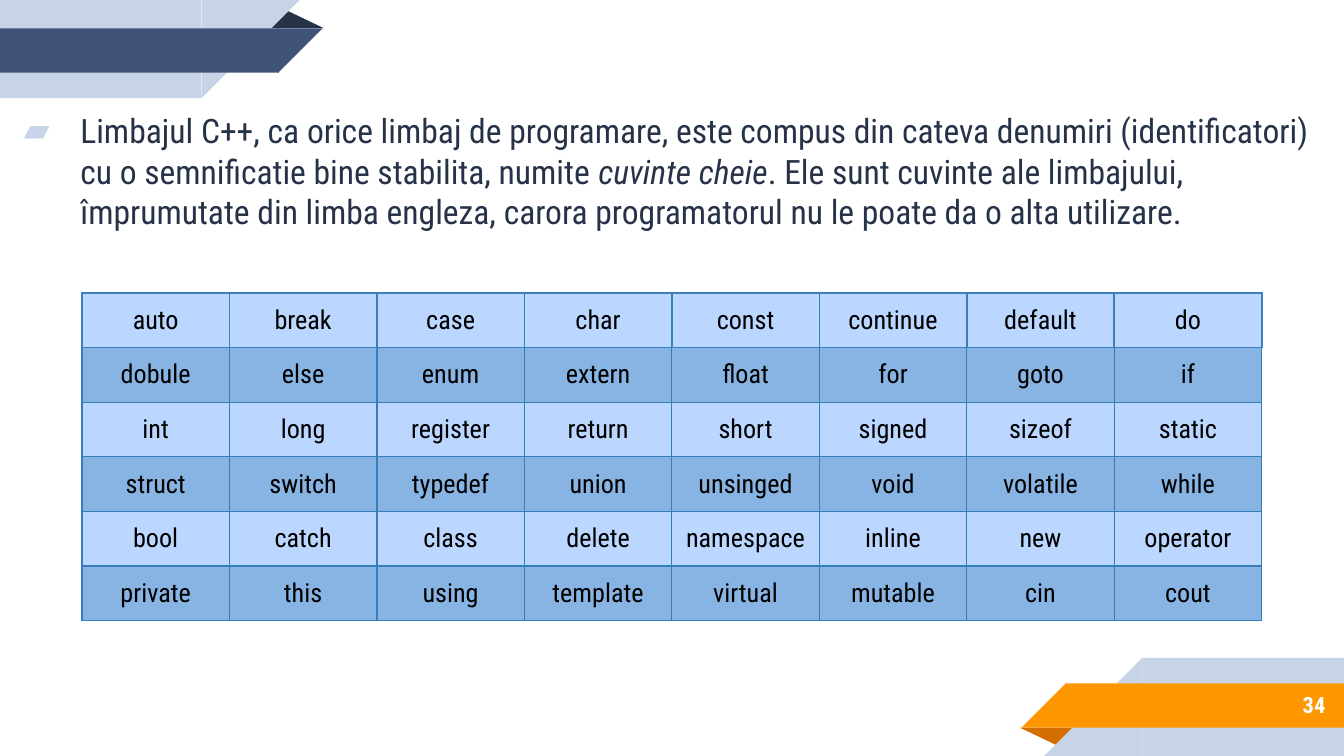
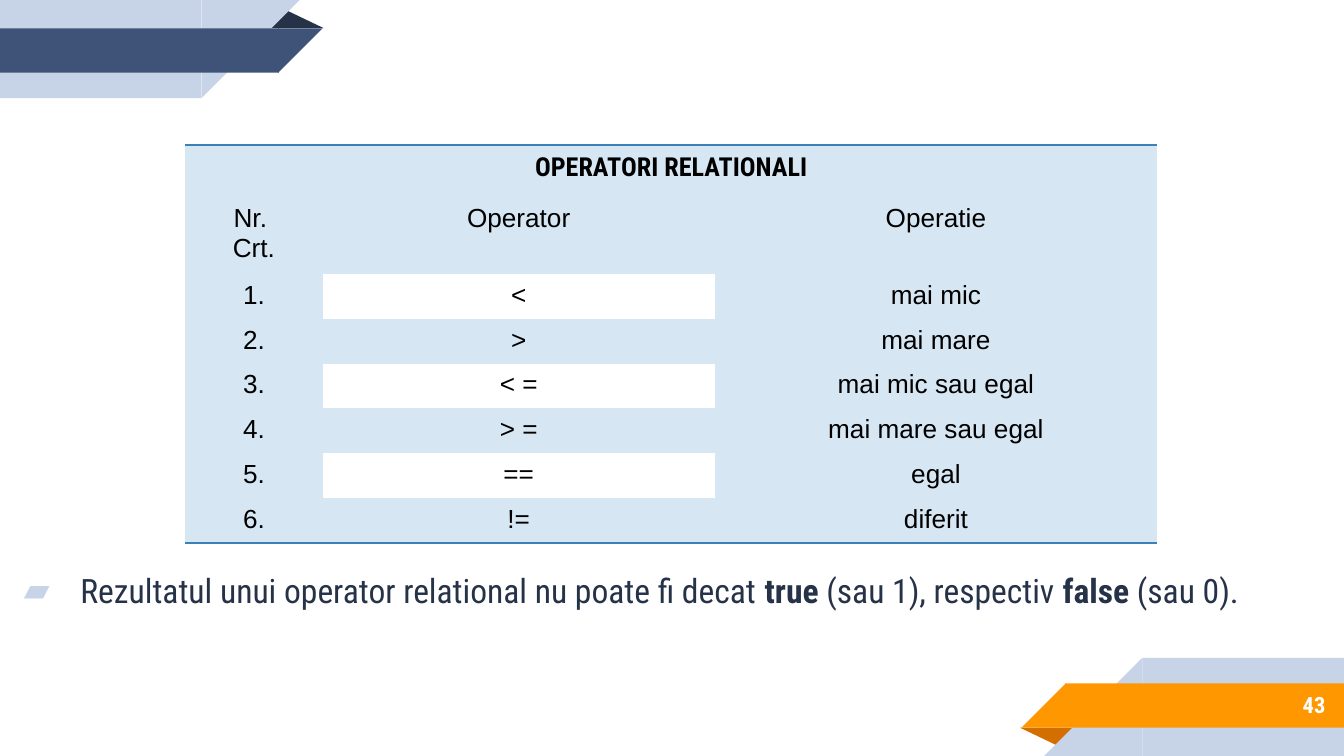
from dataclasses import dataclass, replace

import lxml.etree
import pptx
import pptx.dml.color
import pptx.enum.shapes
import pptx.enum.text
import pptx.oxml.ns
import pptx.presentation
import pptx.shapes.autoshape
import pptx.slide
import pptx.table
import pptx.text.text
import pptx.util

RGBColor = pptx.dml.color.RGBColor
Preset = pptx.enum.shapes.MSO_SHAPE
Align = pptx.enum.text.PP_ALIGN
Anchor = pptx.enum.text.MSO_ANCHOR
qn = pptx.oxml.ns.qn

NAVY = RGBColor(0x26, 0x32, 0x48)
INDIGO = RGBColor(0x3F, 0x53, 0x78)
MIST = RGBColor(0xC7, 0xD3, 0xE6)
ORANGE = RGBColor(0xFF, 0x98, 0x00)
RUST = RGBColor(0xD2, 0x6F, 0x00)
WHITE = RGBColor(0xFF, 0xFF, 0xFF)
BLACK = RGBColor(0x00, 0x00, 0x00)
RULE_BLUE = RGBColor(0x3A, 0x81, 0xBA)
GRID_BLUE = RGBColor(0x36, 0x7E, 0xB9)
BAND_LIGHT = RGBColor(0xBB, 0xD6, 0xFF)
BAND_DARK = RGBColor(0x87, 0xB4, 0xE3)
PALE_BLUE = RGBColor(0xD6, 0xE6, 0xF2)

CONDENSED = "Roboto Condensed"
PLAIN = "Arial"
NO_TABLE_STYLE = "{2D5ABB26-0587-4C30-8999-92F81FD0307C}"

SLIDE_WIDTH = pptx.util.Inches(10)
SLIDE_HEIGHT = SLIDE_WIDTH * 9 // 16
GRID_COLUMNS = 100
GRID_ROWS = 56.25


@dataclass(frozen=True)
class Area:
    left: float
    top: float
    width: float
    height: float

    def opposite(self) -> "Area":
        return replace(
            self,
            left=GRID_COLUMNS - self.left - self.width,
            top=GRID_ROWS - self.top - self.height,
        )

    def lengths(self) -> list[int]:
        return [grid(cells) for cells in (self.left, self.top, self.width, self.height)]


@dataclass(frozen=True)
class RibbonPart:
    preset: Preset
    area: Area
    header_color: RGBColor
    footer_color: RGBColor


@dataclass(frozen=True)
class Span:
    text: str
    bold: bool = False
    italic: bool = False


@dataclass(frozen=True)
class TextStyle:
    size: int
    color: RGBColor
    font: str = CONDENSED


@dataclass(frozen=True)
class Border:
    color: RGBColor
    points: float


RIBBON = [
    RibbonPart(Preset.ISOSCELES_TRIANGLE, Area(19.8, 0.7, 4.3, 1.4), NAVY, RUST),
    RibbonPart(Preset.RECTANGLE, Area(0, 0, 15, 7.3), MIST, MIST),
    RibbonPart(Preset.RIGHT_TRIANGLE, Area(15, 0, 7.3, 7.3), MIST, MIST),
    RibbonPart(Preset.RECTANGLE, Area(0, 2.1, 20.75, 3.3), INDIGO, ORANGE),
    RibbonPart(Preset.RIGHT_TRIANGLE, Area(20.7, 2.1, 3.3, 3.3), INDIGO, ORANGE),
]
NUMBER_AREA = Area(83.3, 50.7, 16.3, 3.5)
NUMBER_STYLE = TextStyle(12, WHITE)
BODY_STYLE = TextStyle(18, NAVY)
TABLE_STYLE = TextStyle(14, BLACK)
OPERATOR_STYLE = replace(TABLE_STYLE, font=PLAIN)
RULE = Border(RULE_BLUE, 1)
THIN_RULE = Border(GRID_BLUE, 0.75)

KEYWORDS_BODY = [
    Span(
        "Limbajul C++, ca orice limbaj de programare, este compus din cateva denumiri "
        "(identificatori) cu o semnificatie bine stabilita, numite "
    ),
    Span("cuvinte cheie", italic=True),
    Span(
        ". Ele sunt cuvinte ale limbajului, împrumutate din limba engleza, "
        "carora programatorul nu le poate da o alta utilizare."
    ),
]
KEYWORDS = [
    line.split()
    for line in (
        "auto break case char const continue default do",
        "dobule else enum extern float for goto if",
        "int long register return short signed sizeof static",
        "struct switch typedef union unsinged void volatile while",
        "bool catch class delete namespace inline new operator",
        "private this using template virtual mutable cin cout",
    )
]
RESULT_BODY = [
    Span("Rezultatul unui operator relational nu poate fi decat "),
    Span("true", bold=True),
    Span(" (sau 1), respectiv "),
    Span("false", bold=True),
    Span(" (sau 0)."),
]
OPERATORS = [
    ("<", "mai mic"),
    (">", "mai mare"),
    ("< =", "mai mic sau egal"),
    ("> =", "mai mare sau egal"),
    ("==", "egal"),
    ("!=", "diferit"),
]


def grid(cells: float) -> int:
    return round(cells * SLIDE_WIDTH / GRID_COLUMNS)


def add_spans(para: pptx.text.text._Paragraph, spans: list[Span], style: TextStyle) -> None:
    for span in spans:
        run = para.add_run()
        run.text = span.text
        run.font.name = style.font
        run.font.size = pptx.util.Pt(style.size)
        run.font.color.rgb = style.color
        run.font.bold = span.bold
        run.font.italic = span.italic


def add_ribbon(page: pptx.slide.Slide, is_footer: bool) -> None:
    for part in RIBBON:
        area = part.area.opposite() if is_footer else part.area
        shape = page.shapes.add_shape(part.preset, *area.lengths())
        shape.shadow.inherit = False
        shape.fill.solid()
        shape.fill.fore_color.rgb = part.footer_color if is_footer else part.header_color
        shape.line.fill.background()
        if part.preset == Preset.ISOSCELES_TRIANGLE:
            shape.adjustments[0] = 0.32
            shape.rotation = 180 if is_footer else 0
        else:
            shape._element.spPr.xfrm.set("flipH", "1")
            shape.rotation = 0 if is_footer else 180


def add_text(
    page: pptx.slide.Slide, area: Area, anchor: Anchor = Anchor.TOP
) -> pptx.text.text._Paragraph:
    frame = page.shapes.add_textbox(*area.lengths()).text_frame
    frame.word_wrap = True
    frame.vertical_anchor = anchor
    frame.margin_left = frame.margin_right = grid(1)
    frame.margin_top = frame.margin_bottom = grid(1)
    return frame.paragraphs[0]


def add_body(page: pptx.slide.Slide, area: Area, spans: list[Span]) -> None:
    para = add_text(page, area)
    properties = para._p.get_or_add_pPr()
    properties.set("marL", str(grid(5)))
    properties.set("indent", str(grid(-4.2)))
    color = lxml.etree.SubElement(properties, qn("a:buClr"))
    lxml.etree.SubElement(color, qn("a:srgbClr"), val=str(MIST))
    lxml.etree.SubElement(properties, qn("a:buFont"), typeface=CONDENSED)
    lxml.etree.SubElement(properties, qn("a:buChar"), char="▰")
    add_spans(para, spans, BODY_STYLE)


def add_page(deck: pptx.presentation.Presentation, number: int) -> pptx.slide.Slide:
    page = deck.slides.add_slide(deck.slide_layouts[6])
    for is_footer in (False, True):
        add_ribbon(page, is_footer)
    para = add_text(page, NUMBER_AREA, Anchor.MIDDLE)
    para.alignment = Align.RIGHT
    add_spans(para, [Span(str(number), bold=True)], NUMBER_STYLE)
    return page


def add_table(
    page: pptx.slide.Slide, left: float, top: float, widths: list[float], heights: list[float]
) -> pptx.table.Table:
    area = Area(left, top, sum(widths), sum(heights))
    table = page.shapes.add_table(len(heights), len(widths), *area.lengths()).table
    table.first_row = table.horz_banding = False
    table._tbl.tblPr.find(qn("a:tableStyleId")).text = NO_TABLE_STYLE
    for column, width in zip(table.columns, widths):
        column.width = grid(width)
    for row, height in zip(table.rows, heights):
        row.height = grid(height)
    return table


def fill_cell(
    cell: pptx.table._Cell,
    lines: list[Span],
    style: TextStyle,
    fill: RGBColor | None,
    borders: dict[str, Border],
    anchor: Anchor = Anchor.TOP,
) -> None:
    cell.vertical_anchor = anchor
    for index, line in enumerate(lines):
        frame = cell.text_frame
        para = frame.add_paragraph() if index else frame.paragraphs[0]
        para.alignment = Align.CENTER
        add_spans(para, [line], style)
    properties = cell._tc.get_or_add_tcPr()
    for side in "LRTB":
        if side in borders:
            border = borders[side]
            width = str(pptx.util.Pt(border.points))
            line = lxml.etree.SubElement(properties, qn(f"a:ln{side}"), w=width)
            solid = lxml.etree.SubElement(line, qn("a:solidFill"))
            lxml.etree.SubElement(solid, qn("a:srgbClr"), val=str(border.color))
    if fill is None:
        cell.fill.background()
    else:
        cell.fill.solid()
        cell.fill.fore_color.rgb = fill


def add_keywords_page(deck: pptx.presentation.Presentation) -> None:
    page = add_page(deck, 34)
    add_body(page, Area(0, 7.2, 100, 49), KEYWORDS_BODY)
    columns, rows = len(KEYWORDS[0]), len(KEYWORDS)
    table = add_table(page, 6.1, 21.8, [87.8 / columns] * columns, [24.4 / rows] * rows)
    for row, words in enumerate(KEYWORDS):
        borders = dict.fromkeys("LRTB", THIN_RULE if row else RULE)
        if row == 1:
            borders["T"] = RULE
        fill = BAND_DARK if row % 2 else BAND_LIGHT
        for column, word in enumerate(words):
            cell = table.cell(row, column)
            fill_cell(cell, [Span(word)], TABLE_STYLE, fill, borders, Anchor.MIDDLE)


def add_operators_page(deck: pptx.presentation.Presentation) -> None:
    page = add_page(deck, 43)
    add_body(page, Area(0, 41.4, 100, 5), RESULT_BODY)
    heights = [3.9, 5.3] + [3.2] * len(OPERATORS)
    table = add_table(page, 13.8, 10.8, [10.2, 29.2, 32.9], heights)
    title = table.cell(0, 0)
    title.merge(table.cell(0, 2))
    heading = [Span("OPERATORI RELATIONALI", bold=True)]
    fill_cell(title, heading, TABLE_STYLE, PALE_BLUE, {"T": RULE})
    for column in (1, 2):
        fill_cell(table.cell(0, column), [], TABLE_STYLE, PALE_BLUE, {"T": RULE})
    lines = [[["Nr. ", "Crt."], ["Operator"], ["Operatie"]]]
    for number, (symbol, meaning) in enumerate(OPERATORS, start=1):
        lines.append([[f"{number}."], [symbol], [meaning]])
    for row, cells in enumerate(lines):
        borders = {"B": RULE} if row == len(OPERATORS) else {}
        for column, texts in enumerate(cells):
            fill = None if column == 1 and row % 2 else PALE_BLUE
            spans = [Span(text) for text in texts]
            fill_cell(table.cell(row + 1, column), spans, OPERATOR_STYLE, fill, borders)


def main() -> None:
    deck = pptx.Presentation()
    deck.slide_width = SLIDE_WIDTH
    deck.slide_height = SLIDE_HEIGHT
    add_keywords_page(deck)
    add_operators_page(deck)
    deck.save("out.pptx")


if __name__ == "__main__":
    main()
